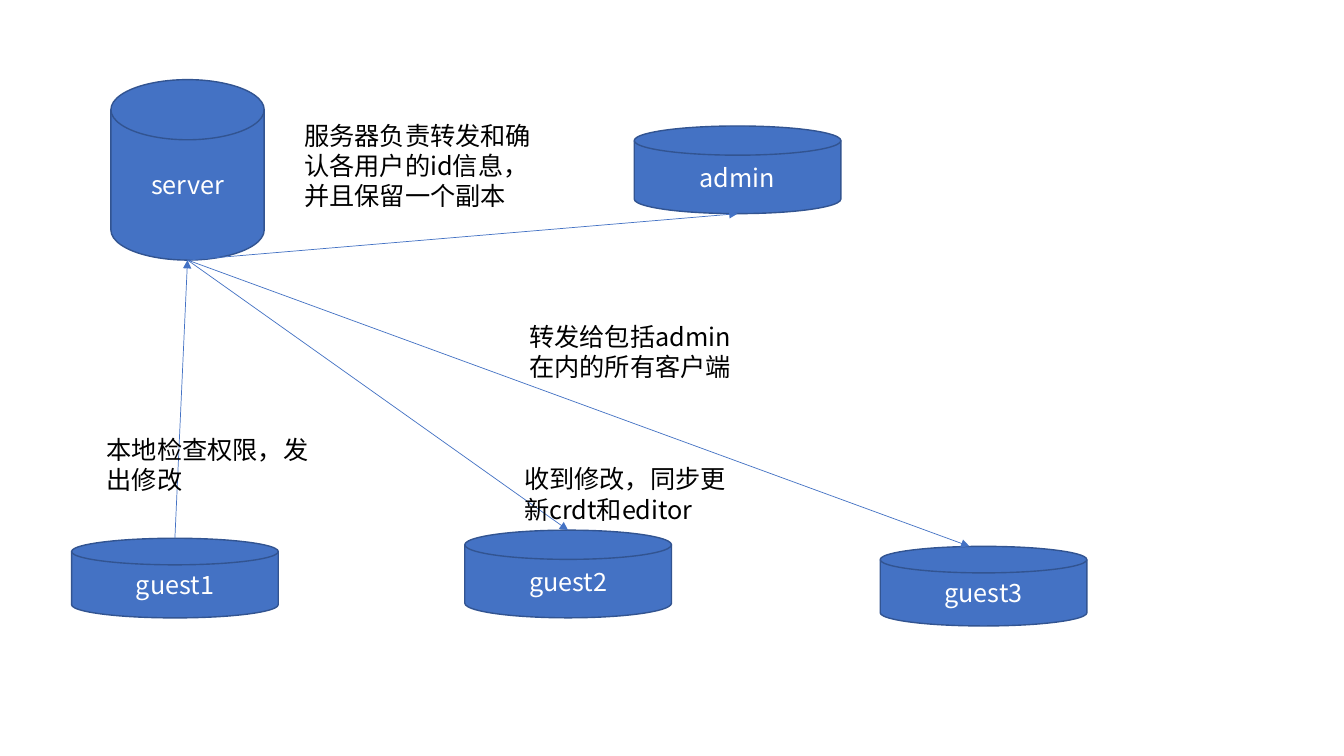
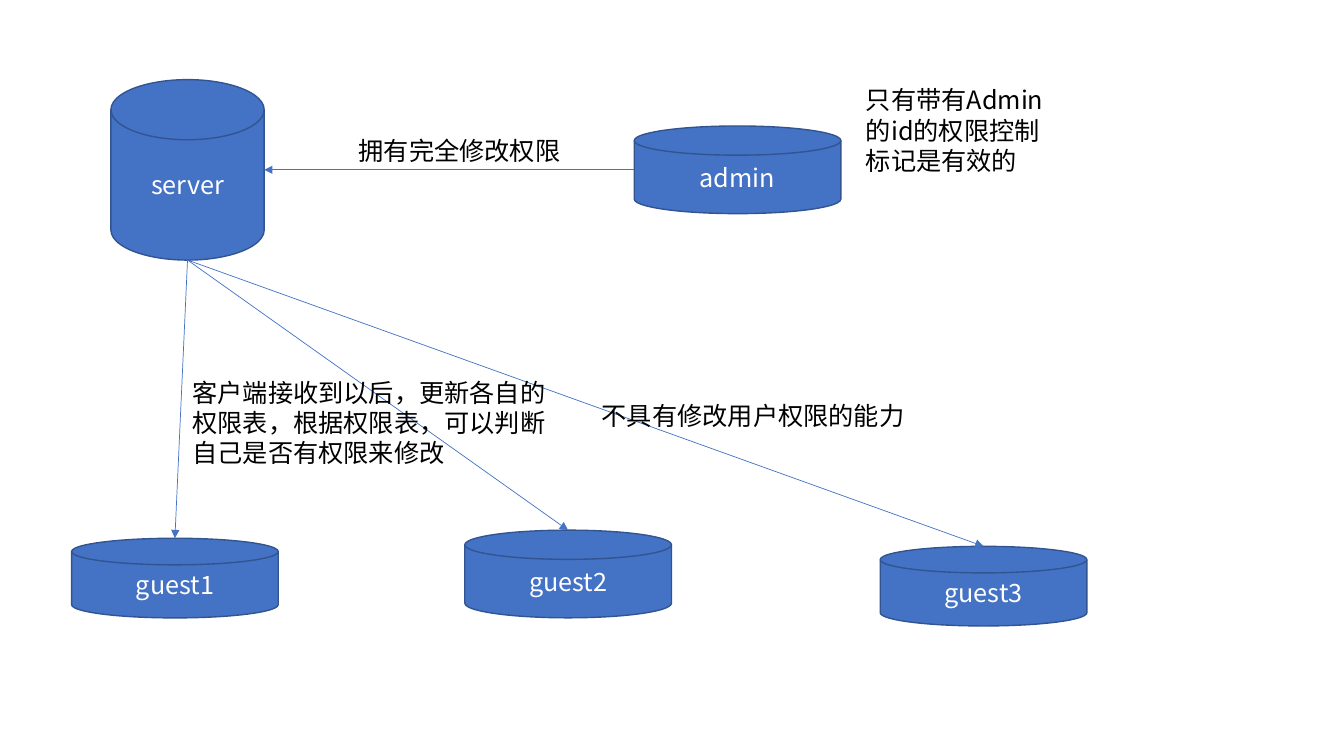
from lxml.etree import SubElement
from pptx import Presentation
from pptx.dml.color import RGBColor
from pptx.enum.shapes import MSO_CONNECTOR, MSO_SHAPE
from pptx.enum.text import MSO_ANCHOR, MSO_AUTO_SIZE, PP_ALIGN
from pptx.oxml.ns import qn
from pptx.util import Inches, Pt

FONT = "Noto Sans CJK SC"
BLUE = RGBColor(0x44, 0x72, 0xC4)
DARK_BLUE = RGBColor(0x32, 0x54, 0x91)
WHITE = RGBColor(0xFF, 0xFF, 0xFF)
BLACK = RGBColor(0x00, 0x00, 0x00)

NODES = {
    "server": (1.1, 0.79, 1.52, 1.79),
    "guest1": (0.71, 5.34, 2.05, 0.79),
    "guest2": (4.61, 5.26, 2.05, 0.87),
    "guest3": (8.73, 5.42, 2.05, 0.79),
    "admin": (6.29, 1.25, 2.05, 0.87),
}
SIDES = {"top": (0.5, 0), "left": (0, 0.5), "bottom": (0.5, 1), "right": (1, 0.5)}

SLIDES = [
    {
        "arrows": [
            ("server", "bottom", "guest2", "top", 0),
            ("server", "bottom", "guest3", "top", -0.14),
            ("guest1", "top", "server", "bottom", 0),
            ("server", "bottom", "admin", "bottom", 0),
        ],
        "notes": [
            ("服务器负责转发和确认各用户的id信息，并且保留一个副本", 2.92, 1.14, 2.57, 1.01),
            ("本地检查权限，发出修改", 0.96, 4.26, 2.34, 0.71),
            ("转发给包括admin在内的所有客户端", 5.15, 3.14, 2.28, 0.71),
            ("收到修改，同步更新crdt和editor", 5.1, 4.55, 2.39, 0.71),
        ],
    },
    {
        "arrows": [
            ("admin", "left", "server", "right", 0.0),
            ("server", "bottom", "guest1", "top", 0),
            ("server", "bottom", "guest2", "top", 0),
            ("server", "bottom", "guest3", "top", 0),
        ],
        "notes": [
            ("只有带有Admin的id的权限控制标记是有效的", 8.49, 0.79, 1.98, 1.01),
            ("拥有完全修改权限", 3.46, 1.29, 2.36, 0.4),
            ("客户端接收到以后，更新各自的权限表，根据权限表，可以判断自己是否有权限来修改", 1.81, 3.69, 3.71, 1.01),
            ("不具有修改用户权限的能力", 5.87, 3.92, 3.71, 0.4),
        ],
    },
]


def write_text(shape, text, color, alignment):
    shape.text_frame.word_wrap = True
    paragraph = shape.text_frame.paragraphs[0]
    paragraph.text = text
    paragraph.alignment = alignment
    paragraph.font.size = Pt(18)
    paragraph.font.color.rgb = color
    paragraph.font.name = FONT
    properties = paragraph._p.pPr.find(qn("a:defRPr"))
    SubElement(properties, qn("a:ea"), typeface=FONT)


def anchor_point(node, side):
    left, top, width, height = NODES[node]
    across, down = SIDES[side]
    return left + across * width, top + down * height


presentation = Presentation()
presentation.slide_width = Inches(13.33)
presentation.slide_height = Inches(7.5)
blank_layout = presentation.slide_layouts[6]

for content in SLIDES:
    slide = presentation.slides.add_slide(blank_layout)

    for name, box in NODES.items():
        disk = slide.shapes.add_shape(
            MSO_SHAPE.FLOWCHART_MAGNETIC_DISK, *map(Inches, box)
        )
        disk.shadow.inherit = False
        disk.fill.solid()
        disk.fill.fore_color.rgb = BLUE
        disk.line.color.rgb = DARK_BLUE
        disk.line.width = Pt(1)
        disk.text_frame.vertical_anchor = MSO_ANCHOR.MIDDLE
        write_text(disk, name, WHITE, PP_ALIGN.CENTER)

    for source, source_side, target, target_side, shift in content["arrows"]:
        start_x, start_y = anchor_point(source, source_side)
        end_x, end_y = anchor_point(target, target_side)
        arrow = slide.shapes.add_connector(
            MSO_CONNECTOR.STRAIGHT,
            *map(Inches, (start_x, start_y, end_x + shift, end_y)),
        )
        arrow.line.color.rgb = BLUE
        arrow.line.width = Pt(0.5)
        SubElement(arrow.line._get_or_add_ln(), qn("a:tailEnd"), type="triangle")
        SubElement(arrow._element.spPr, qn("a:effectLst"))

    for text, *box in content["notes"]:
        note = slide.shapes.add_textbox(*map(Inches, box))
        note.text_frame.auto_size = MSO_AUTO_SIZE.SHAPE_TO_FIT_TEXT
        write_text(note, text, BLACK, PP_ALIGN.LEFT)

presentation.save("out.pptx")
